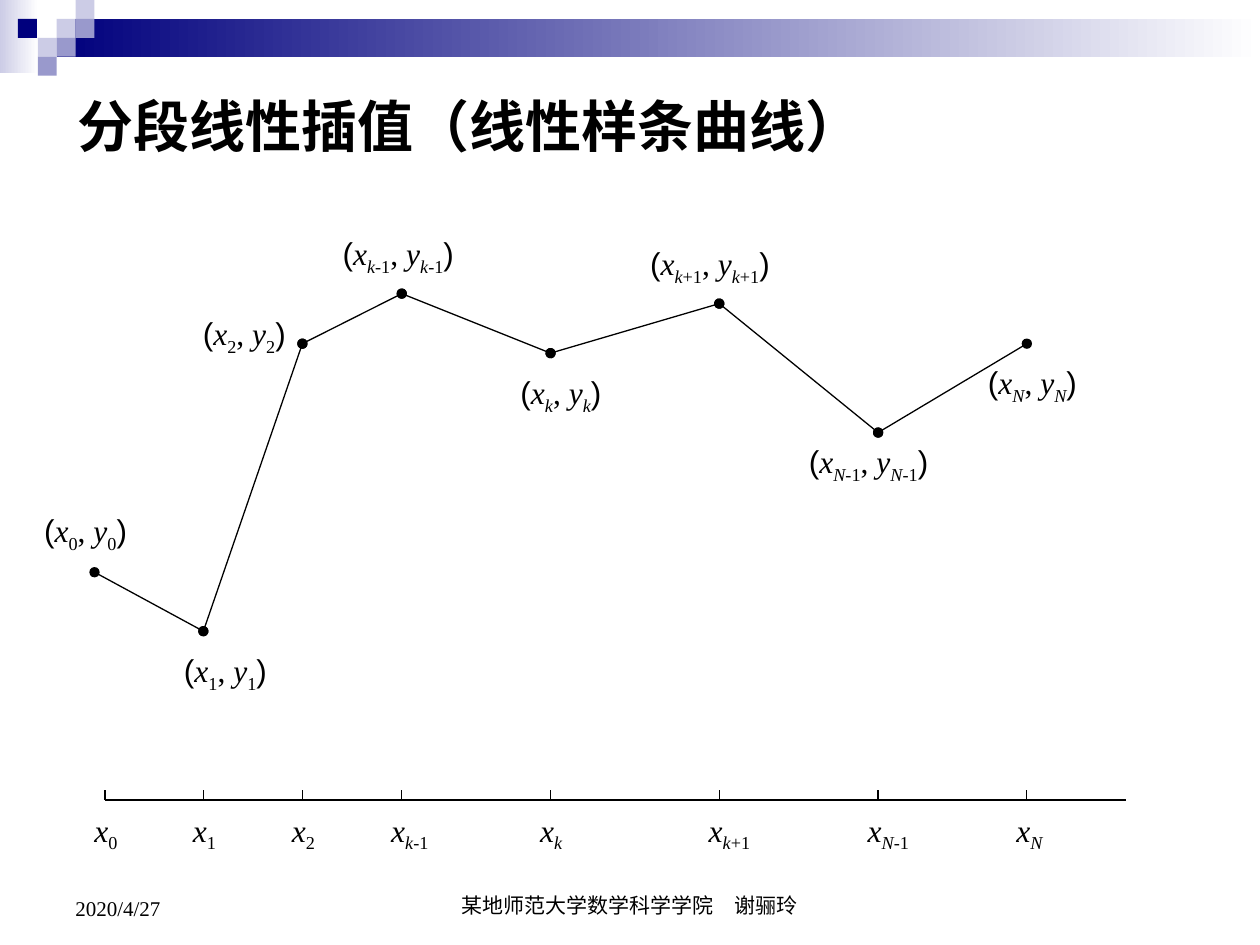
import pptx
import pptx.dml.color
import pptx.enum.shapes
import pptx.enum.text
import pptx.oxml.ns
import pptx.util
from lxml import etree
from dataclasses import dataclass

Pt = pptx.util.Pt


@dataclass(frozen=True)
class Theme:
    ink: str = "000000"
    navy: str = "00007D"
    violet: str = "9999CC"
    lavender: str = "CCCCE6"
    white: str = "FFFFFF"
    sans: str = "Arial"
    serif: str = "Times New Roman"
    title_size: float = 32
    label_size: float = 18
    footer_size: float = 12
    line_width: float = 0.75


THEME = Theme()
MIDDLE_LEFT = pptx.enum.text.PP_ALIGN.LEFT
CENTER = pptx.enum.text.PP_ALIGN.CENTER
TOP = pptx.enum.text.MSO_ANCHOR.TOP
BOTTOM = pptx.enum.text.MSO_ANCHOR.BOTTOM

TITLE = "分段线性插值（线性样条曲线）"
FOOTER = "某地师范大学数学科学学院　谢骊玲"
DATE = "2020/4/27"

NODES = [
    {"index": "0", "tick": 60, "point": (54, 327), "label": (25.2, 292.3)},
    {"index": "1", "tick": 116.2, "point": (116.2, 360.7), "label": (105.1, 372.2)},
    {"index": "2", "tick": 172.8, "point": (172.8, 196.4), "label": (115.9, 179.3)},
    {"index": "k-1", "tick": 229.6, "point": (229.6, 167.8), "label": (195.8, 133.9)},
    {"index": "k", "tick": 314.6, "point": (314.6, 201.8), "label": (297.4, 213.1)},
    {"index": "k+1", "tick": 411, "point": (411, 173.5), "label": (371.5, 139.7)},
    {"index": "N-1", "tick": 501.8, "point": (501.8, 247.2), "label": (462.2, 252.7)},
    {"index": "N", "tick": 586.8, "point": (586.8, 196.4), "label": (564.5, 207.4)},
]
AXIS_Y = 457.2
AXIS_END = 643.6
TICK_HEIGHT = 5.6
TICK_LABEL_SHIFT = 6

TILE = 10.8
TILES = [
    (3, 1, THEME.lavender),
    (4, 0, THEME.lavender),
    (4, 1, THEME.violet),
    (2, 2, THEME.lavender),
    (0.95, 1, THEME.navy),
    (3, 2, THEME.violet),
    (2, 3, THEME.violet),
]
BANDS = [
    (0, 0, 22, 42, THEME.lavender),
    (3 * TILE, TILE, 720 - 3 * TILE, 2 * TILE, THEME.navy),
]


def rgb(value):
    return pptx.dml.color.RGBColor.from_string(value)


def add_rectangle(slide, left, top, width, height, color, fade_to=None):
    shape = slide.shapes.add_shape(
        pptx.enum.shapes.MSO_SHAPE.RECTANGLE, Pt(left), Pt(top), Pt(width), Pt(height))
    shape.shadow.inherit = False
    shape.line.fill.background()
    if fade_to:
        shape.fill.gradient()
        shape.fill.gradient_angle = 0
        for stop, stop_color in zip(shape.fill.gradient_stops, (color, fade_to)):
            stop.color.rgb = rgb(stop_color)
    else:
        shape.fill.solid()
        shape.fill.fore_color.rgb = rgb(color)


def add_line(slide, start, end, dots=False):
    connector = slide.shapes.add_connector(
        pptx.enum.shapes.MSO_CONNECTOR.STRAIGHT, *(Pt(value) for value in (*start, *end)))
    connector.line.color.rgb = rgb(THEME.ink)
    connector.line.width = Pt(THEME.line_width)
    if dots:
        line = connector.line._get_or_add_ln()
        for end_name in ("a:headEnd", "a:tailEnd"):
            etree.SubElement(line, pptx.oxml.ns.qn(end_name), type="oval")
    etree.SubElement(connector._element.spPr, pptx.oxml.ns.qn("a:effectLst"))


def piece(text, font=THEME.serif, bold=False, italic=False, subscript=False):
    return {"text": text, "font": font, "bold": bold, "italic": italic, "subscript": subscript}


def variable(name, index):
    letter = index.rstrip("+-0123456789")
    number = index[len(letter):]
    pieces = [piece(name, italic=True)]
    if letter:
        pieces.append(piece(letter, italic=True, subscript=True))
    if number:
        pieces.append(piece(number, subscript=True))
    return pieces


def coordinates(index):
    return [piece("(", THEME.sans), *variable("x", index), piece(", "),
            *variable("y", index), piece(")", THEME.sans)]


def add_text(slide, left, top, width, height, pieces, size, margins=(0, 0),
             anchor=TOP, alignment=MIDDLE_LEFT):
    box = slide.shapes.add_textbox(Pt(left), Pt(top), Pt(width), Pt(height))
    frame = box.text_frame
    frame.word_wrap = True
    frame.vertical_anchor = anchor
    frame.margin_left = frame.margin_right = Pt(margins[0])
    frame.margin_top = frame.margin_bottom = Pt(margins[1])
    paragraph = frame.paragraphs[0]
    paragraph.alignment = alignment
    for item in pieces:
        run = paragraph.add_run()
        run.text = item["text"]
        run.font.name = item["font"]
        run.font.size = Pt(size)
        run.font.bold = item["bold"]
        run.font.italic = item["italic"]
        run.font.color.rgb = rgb(THEME.ink)
        if item["subscript"]:
            run._r.get_or_add_rPr().set("baseline", "-25000")


def draw_header(slide):
    for left, top, width, height, color in BANDS:
        add_rectangle(slide, left, top, width, height, color, THEME.white)
    for column, row, color in TILES:
        add_rectangle(slide, column * TILE, row * TILE, TILE, TILE, color)


def draw_axis(slide):
    add_line(slide, (NODES[0]["tick"], AXIS_Y), (AXIS_END, AXIS_Y))
    for node in NODES:
        tick = node["tick"]
        add_line(slide, (tick, AXIS_Y - TICK_HEIGHT), (tick, AXIS_Y))
        add_text(slide, tick - TICK_LABEL_SHIFT, AXIS_Y + 6, 28, 21.6,
                 variable("x", node["index"]), THEME.label_size)


def draw_curve(slide):
    for start, end in zip(NODES, NODES[1:]):
        add_line(slide, start["point"], end["point"], dots=True)
    for node in NODES:
        add_text(slide, *node["label"], 73.4, 21.6,
                 coordinates(node["index"]), THEME.label_size)


def main():
    presentation = pptx.Presentation()
    presentation.slide_width = Pt(720)
    presentation.slide_height = Pt(540)
    slide = presentation.slides.add_slide(presentation.slide_layouts[6])
    draw_header(slide)
    add_text(slide, 246, 492, 228, 36, [piece(FOOTER)], THEME.footer_size,
             (7.2, 3.6), BOTTOM, CENTER)
    add_text(slide, 36, 492, 168, 37.5, [piece(DATE)], THEME.footer_size,
             (7.2, 3.6), BOTTOM)
    draw_axis(slide)
    draw_curve(slide)
    add_text(slide, 37, 49, 561.6, 45.4, [piece(TITLE, THEME.sans, bold=True)],
             THEME.title_size, (7.2, 3.6))
    presentation.save("out.pptx")


if __name__ == "__main__":
    main()
